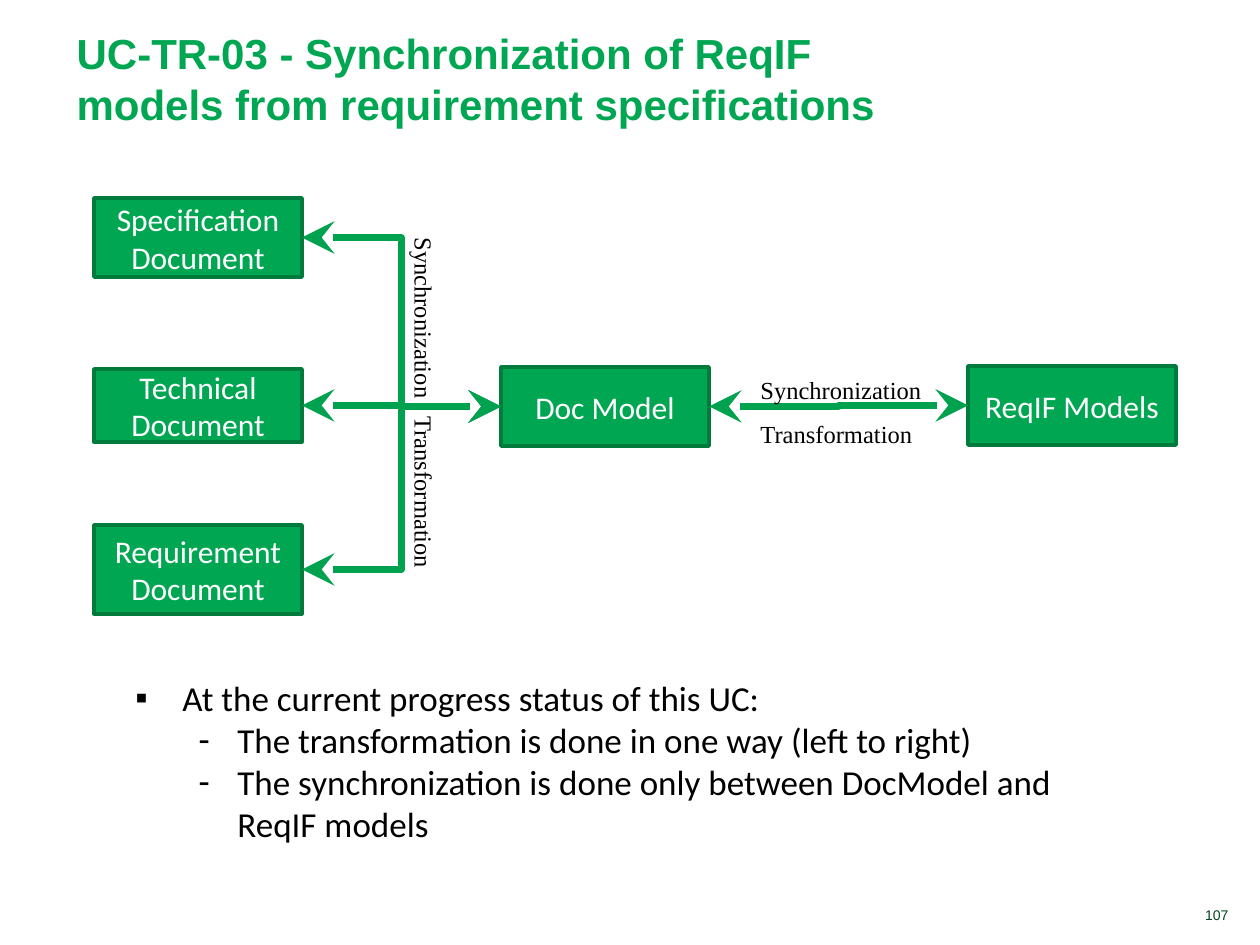
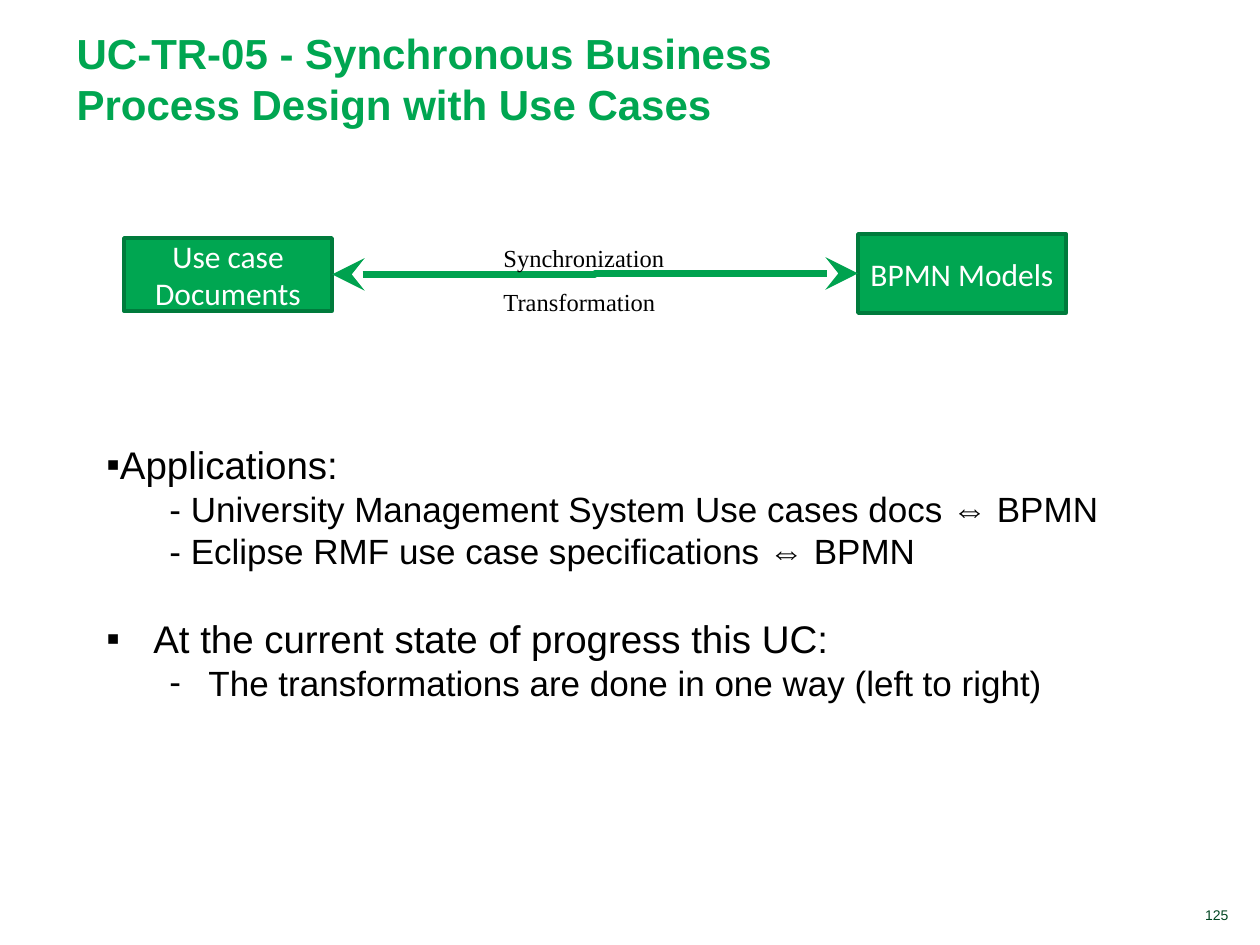
from lxml import etree
from pptx import Presentation, util as u
from pptx.dml.color import RGBColor
from pptx.enum import shapes, text
from pptx.oxml.ns import qn

# Content: boxes are name: (text, left, top, height); links join two boxes.
# Body lines are (text, bullet, level, margin, hang, size, space before).
HEX = {"green": "00A651", "edge": "007B3C", "link": "00A24F",
       "page": "004621", "text": "000000", "white": "FFFFFF"}
SLIDES = [
    {
        "title": "UC-TR-03 - Synchronization of ReqIF models from "
                 "requirement specifications",
        "page": "107",
        "boxes": {
            "spec": ("Specification\nDocument", 94, 198, 79),
            "tech": ("Technical Document", 94, 369, 73),
            "req": ("Requirement Document", 94, 525, 89),
            "doc": ("Doc Model", 501, 367, 79),
            "reqif": ("ReqIF Models", 968, 366, 79),
        },
        "links": [("spec", "doc"), ("tech", "doc"), ("req", "doc"),
                  ("doc", "reqif")],
        "labels": [("Synchronization\tTransformation", (231, 402, 406, 52), 90),
                   ("Synchronization\nTransformation", (748, 354, 198, 102), 0)],
        "area": (123, 670, 1012, 183),
        "font": "Calibri",
        "body": [
            ("At the current progress status of this UC:", "▪", 0, 47, 47, 20, 0),
            ("The transformation is done in one way (left to right)",
             "-", 1, 102, 39, 20, 0),
            ("The synchronization is done only between DocModel and ReqIF models",
             "-", 1, 102, 39, 20, 0),
        ],
    },
    {
        "title": "UC-TR-05 - Synchronous Business Process Design with Use Cases",
        "page": "125",
        "boxes": {
            "case": ("Use case Documents", 124, 238, 73),
            "bpmn": ("BPMN Models", 858, 234, 79),
        },
        "links": [("case", "bpmn")],
        "labels": [("Synchronization\nTransformation", (491, 222, 198, 102), 0)],
        "area": (94, 435, 1101, 280),
        "font": "Arial",
        "body": [
            ("Applications:", "▪", 0, 0, 0, 22, 0),
            ("- University Management System Use cases docs ⇔ BPMN",
             None, 1, 63, 0, 20, 0),
            ("- Eclipse RMF use case specifications ⇔ BPMN",
             None, 1, 63, 0, 20, 0),
            ("At the current state of progress this UC:", "▪", 0, 47, 47, 22, 25),
            ("The transformations are done in one way (left to right)",
             "-", 1, 102, 39, 20, 0),
        ],
    },
]
TITLE = (64, 20, 858, 115)
PAGE = (1076, 900, 165, 29)
BOX_W = 208
TAB = 179
LEFT, RIGHT = 1, 3  # connection sites of a rectangle


def px(n):
    return round(n * 914400 / 126)


def rgb(name):
    return RGBColor.from_string(HEX[name])


def sub(node, tag, **attrs):
    return etree.SubElement(node, qn(tag), attrs)


def style(par, font, size, hue, bold=False):
    par.font.name, par.font.size, par.font.bold = font, u.Pt(size), bold
    par.font.color.rgb = rgb(hue)


def add_text(slide, area):
    box = slide.shapes.add_textbox(*map(px, area))
    box.text_frame.word_wrap = True
    return box


def add_title(slide, words):
    head = slide.shapes.title
    head.left, head.top, head.width, head.height = map(px, TITLE)
    frame = head.text_frame
    frame.text = words
    frame.auto_size = text.MSO_AUTO_SIZE.NONE
    frame.vertical_anchor = text.MSO_ANCHOR.BOTTOM
    par = frame.paragraphs[0]
    par.alignment = text.PP_ALIGN.LEFT
    style(par, "Arial", 24, "green", True)


def add_page(slide, number):
    frame = add_text(slide, PAGE).text_frame
    frame.text = number
    frame.vertical_anchor = text.MSO_ANCHOR.BOTTOM
    par = frame.paragraphs[0]
    par.alignment = text.PP_ALIGN.RIGHT
    style(par, "Arial", 8, "page")


def add_box(slide, words, left, top, height):
    box = slide.shapes.add_shape(shapes.MSO_SHAPE.RECTANGLE,
                                 *map(px, (left, top, BOX_W, height)))
    box.shadow.inherit = False
    box.fill.solid()
    box.fill.fore_color.rgb = rgb("green")
    box.line.color.rgb = rgb("edge")
    box.line.width = u.Pt(2)
    frame = box.text_frame
    frame.text = words
    frame.word_wrap = True
    frame.vertical_anchor = text.MSO_ANCHOR.MIDDLE
    for par in frame.paragraphs:
        par.alignment = text.PP_ALIGN.CENTER
        style(par, "Calibri", 18, "white")
    return box


def add_link(slide, start, end):
    link = slide.shapes.add_connector(shapes.MSO_CONNECTOR.ELBOW, 0, 0, 0, 0)
    link.begin_connect(start, RIGHT)
    link.end_connect(end, LEFT)
    link.line.color.rgb = rgb("link")
    link.line.width = u.Pt(3.75)
    props = link._element.spPr
    for tag in ("a:headEnd", "a:tailEnd"):
        sub(props.find(qn("a:ln")), tag, type="stealth", w="lg", len="lg")
    sub(props, "a:effectLst")


def add_label(slide, words, area, turn):
    box = add_text(slide, area)
    box.rotation = turn
    box.text_frame.text = words
    for par in box.text_frame.paragraphs:
        if "\t" in words:
            tabs = sub(par._p.get_or_add_pPr(), "a:tabLst")
            sub(tabs, "a:tab", pos=str(px(TAB)), algn="l")
        par.line_spacing = 1.5
        style(par, "Times New Roman", 14, "text")


def add_body(slide, area, font, lines):
    frame = add_text(slide, area).text_frame
    for i, (words, mark, level, margin, hang, size, gap) in enumerate(lines):
        par = frame.add_paragraph() if i else frame.paragraphs[0]
        par.text, par.level = words, level
        props = par._p.get_or_add_pPr()
        props.set("marL", str(px(margin)))
        props.set("indent", str(-px(hang)))
        if mark:
            sub(props, "a:buFont", typeface="Arial")
            sub(props, "a:buChar", char=mark)
        if gap:
            par.space_before = u.Pt(gap)
        style(par, font, size, "text")


def main():
    deck = Presentation()
    deck.slide_width, deck.slide_height = px(1260), px(945)
    for data in SLIDES:
        slide = deck.slides.add_slide(deck.slide_layouts[5])
        add_page(slide, data["page"])
        add_title(slide, data["title"])
        # Diagram
        boxes = {name: add_box(slide, *box)
                 for name, box in data["boxes"].items()}
        for start, end in data["links"]:
            add_link(slide, boxes[start], boxes[end])
        for label in data["labels"]:
            add_label(slide, *label)
        # Remarks
        add_body(slide, data["area"], data["font"], data["body"])
    deck.save("out.pptx")


if __name__ == "__main__":
    main()
